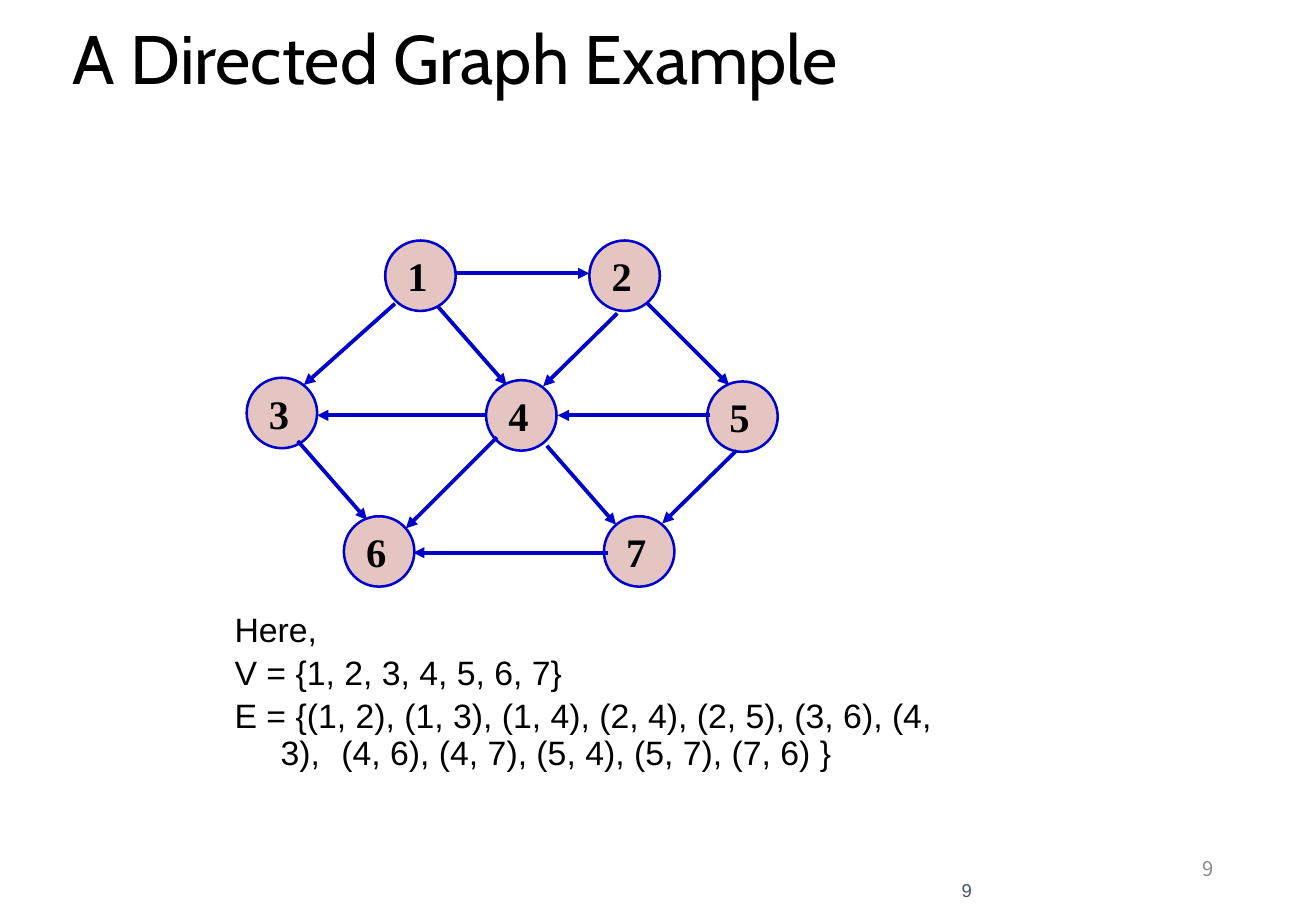
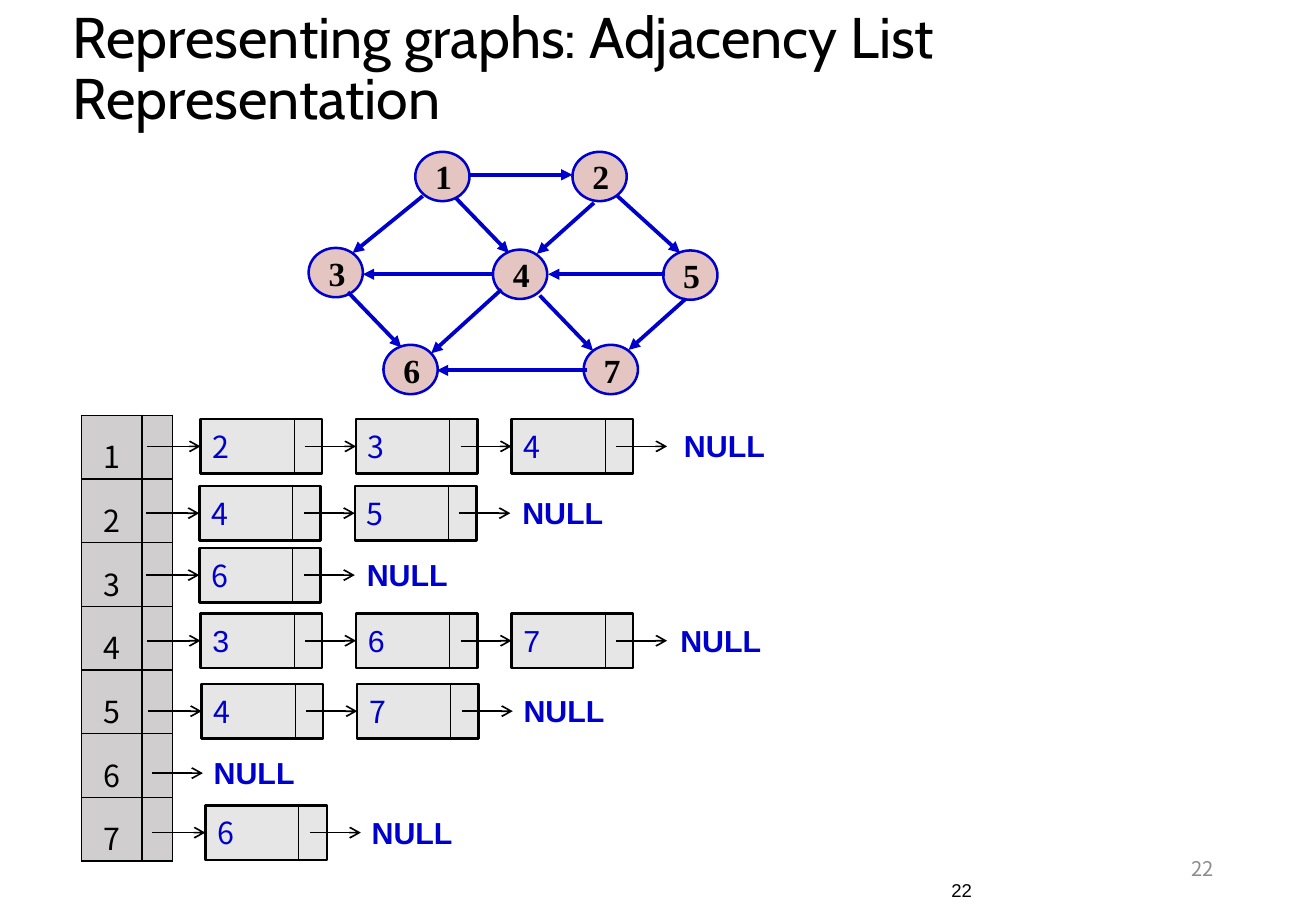
import lxml.etree
import pptx
import pptx.dml.color
import pptx.enum.shapes
import pptx.enum.text
import pptx.oxml.ns
import pptx.util

Inches = pptx.util.Inches
Pt = pptx.util.Pt
qn = pptx.oxml.ns.qn
rgb = pptx.dml.color.RGBColor.from_string
ALIGN = pptx.enum.text.PP_ALIGN
ANCHOR = pptx.enum.text.MSO_ANCHOR
SHAPE = pptx.enum.shapes.MSO_SHAPE
FIXED = pptx.enum.text.MSO_AUTO_SIZE.NONE

BLACK, BLUE, PINK = "000000", "0000CC", "E4C5C2"
PALE_GREY, MID_GREY = "E7E6E6", "D0CECE"
TITLE_FONT, SANS, SERIF, DIGITS = "Cabin", "Arial", "Times New Roman", "Noto Sans CJK SC"


def write(frame, lines, size, face, colour, bold=False, align=ALIGN.LEFT, **frame_format):
    """Fill a text frame with one paragraph per line, all in one style."""
    for attribute, value in frame_format.items():
        setattr(frame, attribute, value)
    for index, line in enumerate(lines):
        paragraph = frame.add_paragraph() if index else frame.paragraphs[0]
        paragraph.alignment = align
        run = paragraph.add_run()
        run.text = line
        run.font.color.rgb = rgb(colour)
        for attribute, value in {"size": Pt(size), "name": face, "bold": bold}.items():
            setattr(run.font, attribute, value)


def add_line(shapes, start, end, colour, width, head=None):
    """Draw a straight line, with an arrowhead of the given kind at its end."""
    line = shapes.add_connector(
        pptx.enum.shapes.MSO_CONNECTOR.STRAIGHT, *map(Inches, (*start, *end)))
    line.line.color.rgb = rgb(colour)
    line.line.width = Pt(width)
    if head:
        lxml.etree.SubElement(line.line._get_or_add_ln(), qn("a:tailEnd"), type=head)
    lxml.etree.SubElement(line._element.spPr, qn("a:effectLst"))
    return line


deck = pptx.Presentation()
deck.slide_width = Inches(10.83)
deck.slide_height = Inches(7.5)
example = deck.slides.add_slide(deck.slide_layouts[1])
adjacency = deck.slides.add_slide(deck.slide_layouts[5])
outlined = []  # (shape, fill colour, line colour)

# Titles and page numbers
for slide, heading, top, height, size, spacing, page, page_colour in (
    (example, "A Directed Graph Example", 0.19, 0.68, 40.7, 0.8, "9", "44546A"),
    (adjacency, "Representing graphs: Adjacency List Representation",
     0, 1.16, 34, 0.9, "22", BLACK),
):
    title = slide.shapes.title
    title.left, title.top, title.width, title.height = map(Inches, (0.5, top, 7.92, height))
    write(title.text_frame, [heading], size, TITLE_FONT, BLACK, word_wrap=True,
          auto_size=FIXED, vertical_anchor=ANCHOR.MIDDLE)
    title.text_frame.paragraphs[0].line_spacing = spacing

    number = slide.shapes.add_textbox(*map(Inches, (7.65, 6.95, 2.44, 0.4)))
    write(number.text_frame, [page], 12, DIGITS, "8C8C8C", align=ALIGN.RIGHT,
          word_wrap=True, vertical_anchor=ANCHOR.MIDDLE)
    small_number = slide.shapes.add_textbox(*map(Inches, (7.36, 7.17, 0.64, 0.25)))
    write(small_number.text_frame, [page], 11, SANS, page_colour, align=ALIGN.RIGHT,
          word_wrap=True, vertical_anchor=ANCHOR.BOTTOM,
          margin_left=0, margin_top=0, margin_right=0, margin_bottom=0)

# The same graph on both slides, the second time smaller
VERTEX_SIZE = 0.58
GRAPH_LEFT, GRAPH_TOP = 2.03, 1.98
vertices = {
    "1": (3.17, 1.98), "2": (4.85, 1.98), "3": (2.03, 3.11), "4": (4, 3.13),
    "5": (5.82, 3.14), "6": (2.83, 4.25), "7": (4.97, 4.25),
}
edges = (
    ((3.75, 2.25), (4.85, 2.25)),
    ((3.25, 2.5), (2.5, 3.17)),
    ((3.6, 2.52), (4.17, 3.17)),
    ((5.08, 2.58), (4.47, 3.18)),
    ((5.33, 2.5), (6, 3.17)),
    ((2.45, 3.63), (3.02, 4.28)),
    ((4.01, 3.42), (2.61, 3.42)),
    ((4.09, 3.6), (3.34, 4.35)),
    ((4.5, 3.67), (5.07, 4.32)),
    ((5.84, 3.42), (4.59, 3.42)),
    ((6.06, 3.71), (5.45, 4.31)),
    ((5, 4.55), (3.4, 4.55)),
)
for shapes, left, top, scale_x, scale_y, size in (
    (example.shapes, GRAPH_LEFT, GRAPH_TOP, 1, 1, 24),
    (adjacency.shapes.add_group_shape().shapes, 2.54, 1.25, 0.77, 0.7, 20),
):
    for label, (x, y) in vertices.items():
        vertex = shapes.add_shape(
            SHAPE.OVAL,
            Inches(left + (x - GRAPH_LEFT) * scale_x), Inches(top + (y - GRAPH_TOP) * scale_y),
            Inches(VERTEX_SIZE * scale_x), Inches(VERTEX_SIZE * scale_y))
        outlined.append((vertex, PINK, BLUE))
        write(vertex.text_frame, [label], size, SERIF, BLACK, bold=True,
              word_wrap=False, vertical_anchor=ANCHOR.MIDDLE)
    for edge in edges:
        start, end = (
            (left + (x - GRAPH_LEFT) * scale_x, top + (y - GRAPH_TOP) * scale_y)
            for x, y in edge)
        add_line(shapes, start, end, BLUE, 2.25, "triangle")

# Vertex and edge sets
sets = example.placeholders[1]
sets.left, sets.top, sets.width, sets.height = map(Inches, (1.83, 5, 6.33, 1.92))
write(sets.text_frame, [
    "Here,",
    "V = {1, 2, 3, 4, 5, 6, 7}",
    "E = {(1, 2), (1, 3), (1, 4), (2, 4), (2, 5), (3, 6), (4, 3),"
    "\t(4, 6), (4, 7), (5, 4), (5, 7), (7, 6) }",
], 20, SANS, BLACK, word_wrap=True, auto_size=FIXED, vertical_anchor=ANCHOR.TOP)
for index, paragraph in enumerate(sets.text_frame.paragraphs):
    paragraph.line_spacing = 0.9
    paragraph.space_before = Pt(4 if index else 0)
    properties = paragraph._p.get_or_add_pPr()
    properties.set("marL", str(Inches(0.38)))
    properties.set("indent", str(-Inches(0.38)))
    lxml.etree.SubElement(properties, qn("a:buNone"))
    tabs = lxml.etree.SubElement(properties, qn("a:tabLst"))
    lxml.etree.SubElement(tabs, qn("a:tab"), pos=str(Inches(1.01)), algn="l")

# Array of list heads: vertex numbers and their pointers
for left, width, labels in ((0.67, 0.5, "1234567"), (1.17, 0.25, "")):
    heads = adjacency.shapes.add_table(
        7, 1, *map(Inches, (left, 3.42, width, 3.67))).table
    heads.first_row = heads.horz_banding = False
    heads.columns[0].width = Inches(width)
    for cell in heads.iter_cells():
        for side in ("a:lnL", "a:lnR", "a:lnT", "a:lnB"):
            border = lxml.etree.SubElement(
                cell._tc.get_or_add_tcPr(), qn(side), w=str(Pt(1)))
            solid = lxml.etree.SubElement(border, qn("a:solidFill"))
            lxml.etree.SubElement(solid, qn("a:srgbClr"), val=BLACK)
        cell.fill.solid()
        cell.fill.fore_color.rgb = rgb(MID_GREY)
    for row, label in enumerate(labels):
        cell = heads.cell(row, 0)
        cell.margin_top = Inches(0.15)
        write(cell.text_frame, [label], 18, DIGITS, BLACK, align=ALIGN.CENTER)

# Linked lists, each ending in NULL
BOX_WIDTH, BOX_HEIGHT, BOX_STEP = 1, 0.45, 1.28
for left, top, neighbours, face, null_left in (
    (1.65, 3.45, "234", DIGITS, 5.53),
    (1.64, 4, "45", DIGITS, 4.2),
    (1.64, 4.51, "6", DIGITS, 2.92),
    (1.65, 5.05, "367", SANS, 5.5),
    (1.66, 5.63, "47", DIGITS, 4.21),
    (1.69, 6.14, "", DIGITS, 1.66),
    (1.69, 6.63, "6", DIGITS, 2.96),
):
    middle = top + BOX_HEIGHT / 2
    pointer = add_line(adjacency.shapes, (left - 0.44, middle), (left - 0.02, middle),
                       BLACK, 1, "arrow")
    for column, neighbour in enumerate(neighbours):
        box_left = left + column * BOX_STEP
        box = adjacency.shapes.add_shape(
            SHAPE.RECTANGLE, *map(Inches, (box_left, top, BOX_WIDTH, BOX_HEIGHT)))
        outlined.append((box, PALE_GREY, BLACK))
        write(box.text_frame, [neighbour], 18, face, BLUE, vertical_anchor=ANCHOR.MIDDLE)
        pointer.end_connect(box, 1)
        divider = box_left + 0.77
        add_line(adjacency.shapes, (divider, top + BOX_HEIGHT), (divider, top), BLACK, 0.5)
        pointer = add_line(adjacency.shapes, (box_left + 0.86, middle),
                           (box_left + BOX_STEP, middle), BLACK, 1, "arrow")
    null = adjacency.shapes.add_textbox(*map(Inches, (null_left, top + 0.02, 0.88, 0.4)))
    write(null.text_frame, ["NULL"], 18, SANS, BLUE, bold=True, word_wrap=False)

for shape, fill, line in outlined:
    shape.shadow.inherit = False
    shape.fill.solid()
    shape.fill.fore_color.rgb = rgb(fill)
    shape.line.color.rgb = rgb(line)
    shape.line.width = Pt(1.5)

deck.save("out.pptx")
